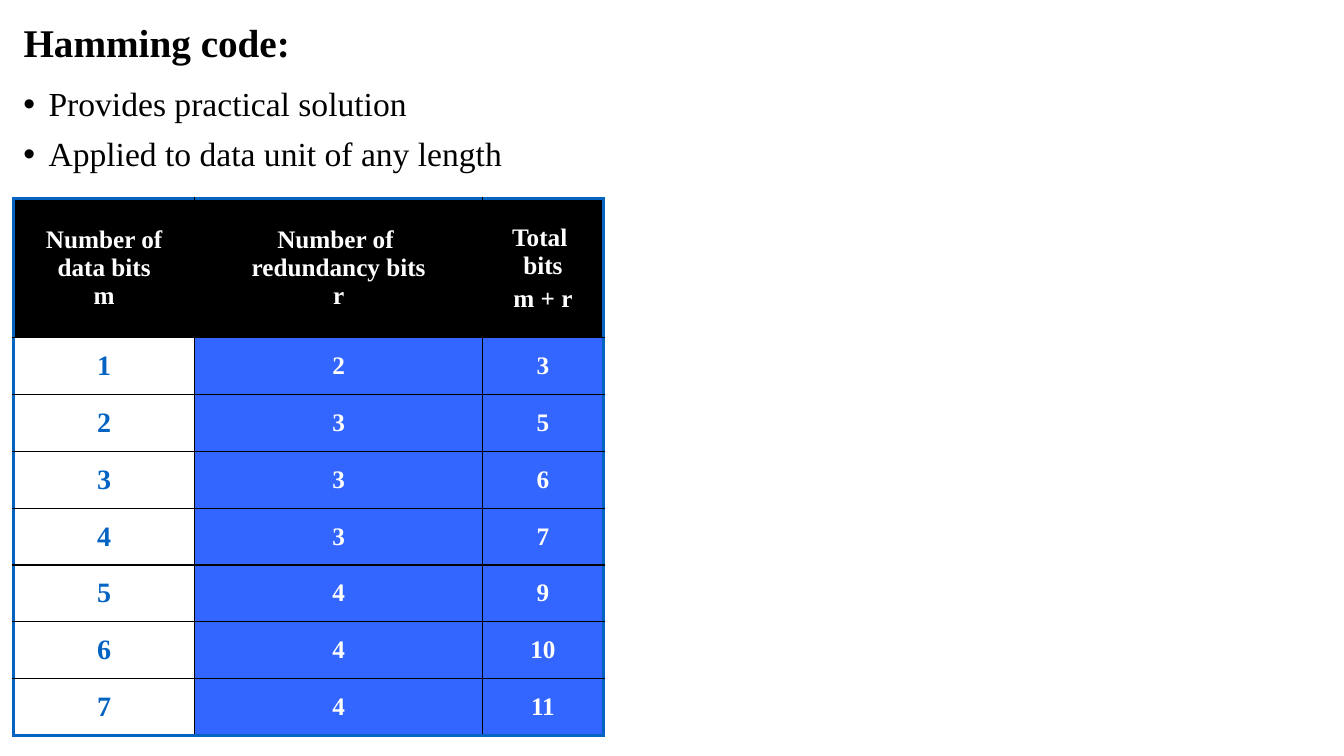
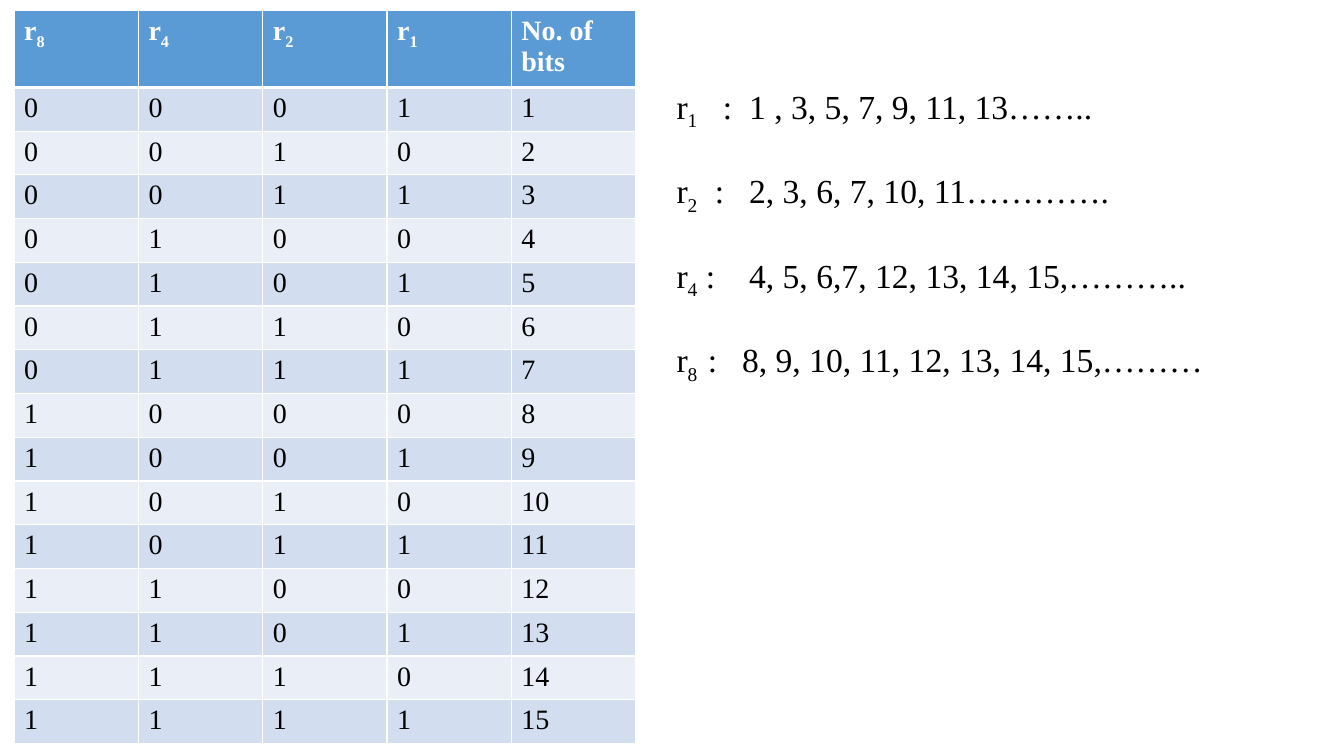
from pptx import Presentation
from pptx import util as u
from pptx.dml.color import RGBColor
from pptx.enum import text
from pptx.oxml.ns import qn
from lxml import etree

# Shared look
FONT = "Times New Roman"
BLACK, WHITE, LINK_BLUE = "000000", "FFFFFF", "0563C1"
BRIGHT_BLUE, HEADER_BLUE = "3366FF", "5B9BD5"
BANDS = ["EAEFF7", "D2DEEF"]
colour = RGBColor.from_string

presentation = Presentation()
presentation.slide_width = u.Inches(13.333)
presentation.slide_height = u.Inches(7.5)

# Grid: 100 columns by 75 rows
COLUMN = presentation.slide_width // 100
ROW = presentation.slide_height // 75


def write(paragraph, pieces, size, hex_colour, bold=False):
    """Add runs; every second piece is a subscript, a newline breaks the line."""
    for index, piece in enumerate(pieces):
        for line_number, line in enumerate(piece.split("\n")):
            if line_number:
                paragraph.add_line_break()
            run = paragraph.add_run()
            run.text = line
            run.font.name = FONT
            run.font.size = u.Pt(size)
            run.font.bold = bold
            run.font.color.rgb = colour(hex_colour)
            if index % 2:
                run.font._element.set("baseline", "-25000")


def style_cell(cell, fill, borders):
    """Draw the borders (left, right, top, bottom as colour and points), then fill."""
    properties = cell._tc.get_or_add_tcPr()
    for side, (hex_colour, points) in zip("LRTB", borders):
        line = etree.SubElement(properties, qn(f"a:ln{side}"), w=str(u.Pt(points)))
        solid = etree.SubElement(line, qn("a:solidFill"))
        etree.SubElement(solid, qn("a:srgbClr"), val=hex_colour)
    cell.fill.solid()
    cell.fill.fore_color.rgb = colour(fill)


# Slide 1: title
slide = presentation.slides.add_slide(presentation.slide_layouts[5])
title = slide.shapes.title
title.left, title.top = COLUMN, ROW
title.width, title.height = round(86.25 * COLUMN), round(6.8 * ROW)
title.text_frame.vertical_anchor = text.MSO_ANCHOR.MIDDLE
paragraph = title.text_frame.paragraphs[0]
paragraph.alignment = text.PP_ALIGN.LEFT
paragraph.line_spacing = 0.9
write(paragraph, ["Hamming code:"], 28, BLACK, True)

# Slide 1: bullets
box = slide.shapes.add_textbox(COLUMN, round(8.2 * ROW), 98 * COLUMN, 11 * ROW)
frame = box.text_frame
frame.word_wrap = True
bullets = ["Provides practical solution", "Applied to data unit of any length"]
for index, bullet in enumerate(bullets):
    paragraph = frame.add_paragraph() if index else frame.paragraphs[0]
    paragraph.line_spacing = 0.9
    paragraph.space_before = u.Pt(10)
    properties = paragraph._p.get_or_add_pPr()
    properties.set("marL", str(u.Inches(0.25)))
    properties.set("indent", str(u.Inches(-0.25)))
    etree.SubElement(properties, qn("a:buFont"), typeface="Arial")
    etree.SubElement(properties, qn("a:buChar"), char="•")
    write(paragraph, [bullet], 24, BLACK)

# Slide 1: redundancy table, each cell a list of paragraphs
redundancy_bits = [2, 3, 3, 3, 4, 4, 4]
rows = [[["Number of\ndata bits\nm"],
         ["Number of \nredundancy bits\nr"],
         ["Total \nbits", "m + r"]]]
for data, redundancy in enumerate(redundancy_bits, 1):
    rows.append([[str(data)], [str(redundancy)], [str(data + redundancy)]])

widths = [13.5, 21.4, 9]
heights = [13.8] + [5.64] * len(redundancy_bits)
table = slide.shapes.add_table(
    len(rows), len(widths), COLUMN, round(19.7 * ROW),
    round(sum(widths) * COLUMN), round(sum(heights) * ROW)).table
for column, width in zip(table.columns, widths):
    column.width = round(width * COLUMN)
for row, height in zip(table.rows, heights):
    row.height = round(height * ROW)

outer, inner = (LINK_BLUE, 3), (BLACK, 1)
for r, row in enumerate(rows):
    for c, lines in enumerate(row):
        cell = table.cell(r, c)
        if r == 0:
            fill, ink, size = BLACK, WHITE, 18
        elif c == 0:
            fill, ink, size = WHITE, LINK_BLUE, 20
        else:
            fill, ink, size = BRIGHT_BLUE, WHITE, 18
        edges = [c == 0, c == len(widths) - 1, r == 0, r == len(rows) - 1]
        style_cell(cell, fill, [outer if edge else inner for edge in edges])
        cell.vertical_anchor = text.MSO_ANCHOR.MIDDLE
        frame = cell.text_frame
        for index, line in enumerate(lines):
            paragraph = frame.add_paragraph() if index else frame.paragraphs[0]
            paragraph.alignment = text.PP_ALIGN.CENTER
            paragraph.space_before = u.Pt(0.2 * size)
            write(paragraph, [line], size, ink, True)

# Slide 2: binary table, from 1 to 15
slide = presentation.slides.add_slide(presentation.slide_layouts[6])
rows = [[["r", "8"], ["r", "4"], ["r", "2"], ["r", "1"], ["No. of bits"]]]
for number in range(1, 16):
    rows.append([[digit] for digit in f"{number:04b}"] + [[str(number)]])

heights = [7.1] + [4.1] * 15
table = slide.shapes.add_table(
    len(rows), 5, round(1.05 * COLUMN), ROW,
    round(5 * 9.25 * COLUMN), round(sum(heights) * ROW)).table
for column in table.columns:
    column.width = round(9.25 * COLUMN)
for row, height in zip(table.rows, heights):
    row.height = round(height * ROW)

thin, thick = (WHITE, 1), (WHITE, 3)
for r, row in enumerate(rows):
    for c, pieces in enumerate(row):
        cell = table.cell(r, c)
        header = r == 0
        style_cell(cell, HEADER_BLUE if header else BANDS[r % 2],
                   [thin, thin, thick if r == 1 else thin, thick if header else thin])
        write(cell.text_frame.paragraphs[0], pieces, 20,
              WHITE if header else BLACK, header)

# Slide 2: positions checked by each bit, with tab stops for colon and list
checks = [
    ("1", "1 , 3, 5, 7, 9, 11, 13……..", 0.46, 0.72),
    ("2", "2, 3, 6, 7, 10, 11………….", 0.38, 0.72),
    ("4", "4, 5, 6,7, 12, 13, 14, 15,………..", 0.29, 0.72),
    ("8", "8, 9, 10, 11, 12, 13, 14, 15,………", 0.31, 0.65),
]
box = slide.shapes.add_textbox(round(49.6 * COLUMN), 8 * ROW, 41 * COLUMN, round(29.3 * ROW))
frame = box.text_frame
frame.word_wrap = True
for index, (bit, positions, *stops) in enumerate(checks):
    paragraph = frame.add_paragraph() if index else frame.paragraphs[0]
    if index:
        paragraph.space_before = u.Pt(27.6)
    tabs = etree.SubElement(paragraph._p.get_or_add_pPr(), qn("a:tabLst"))
    for stop in stops:
        etree.SubElement(tabs, qn("a:tab"), pos=str(u.Inches(stop)), algn="l")
    write(paragraph, ["r", bit, f"\t:\t{positions}"], 24, BLACK)

presentation.save("out.pptx")
